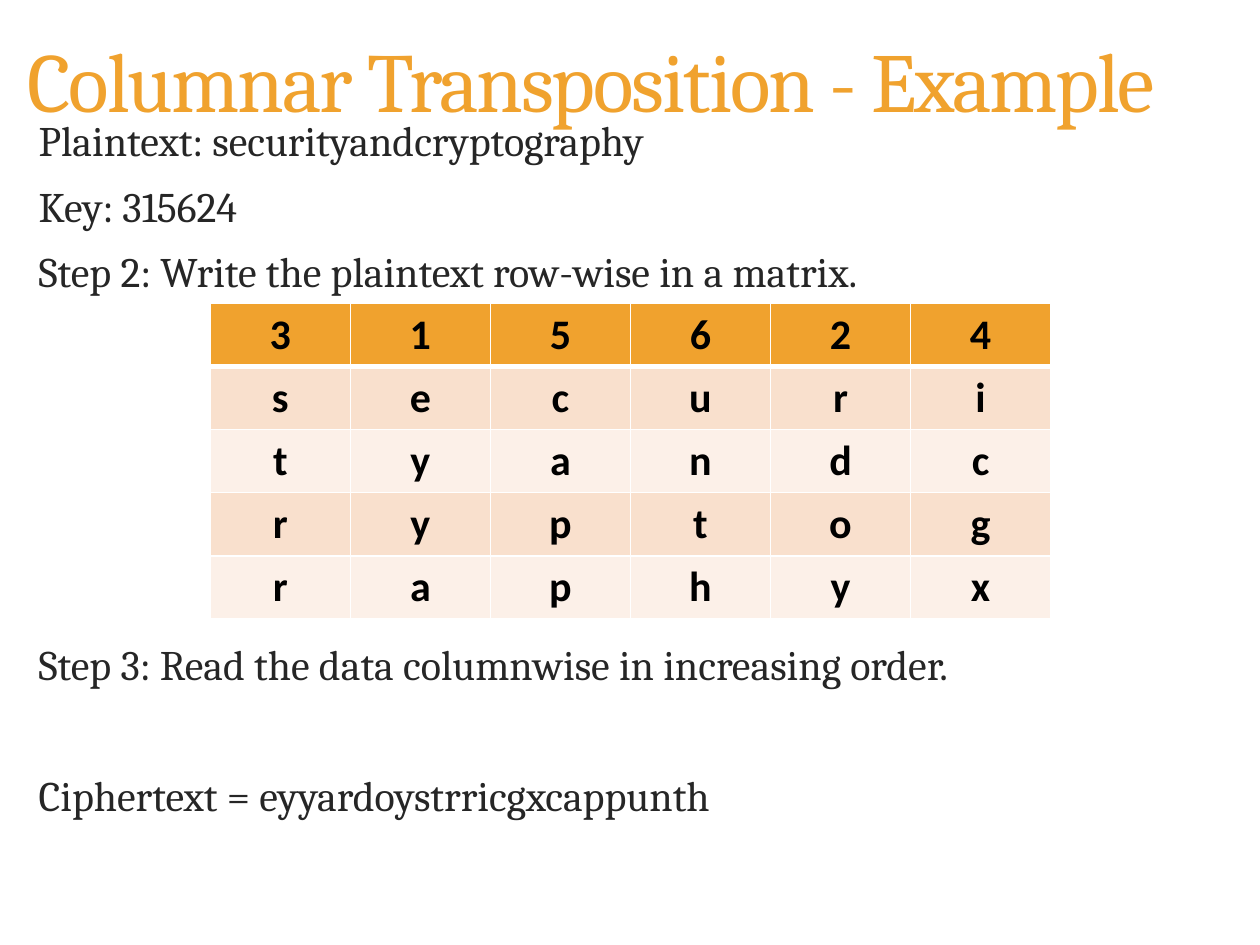
from pptx import Presentation
from pptx.dml.color import RGBColor
from pptx.enum.text import MSO_ANCHOR, PP_ALIGN
from pptx.oxml.ns import qn
from pptx.util import Cm, Pt
from lxml import etree

LEFT, CENTER = PP_ALIGN.LEFT, PP_ALIGN.CENTER
TOP, MIDDLE = MSO_ANCHOR.TOP, MSO_ANCHOR.MIDDLE

ORANGE, INK, BLACK, WHITE = "F0A22E", "262626", "000000", "FFFFFF"
BANDS = ("F9E0CD", "FCF0E8")
PARAGRAPH_GAP = 13
LINE_PITCH = 37.4  # one body line with its gap, in points

# Each line with the number of open lines above it
STEPS = [
    ("Plaintext: securityandcryptography", 0),
    ("Key: 315624", 0),
    ("Step 2: Write the plaintext row-wise in a matrix.", 0),
    ("Step 3: Read the data columnwise in increasing order.", 5),
    ("Ciphertext = eyyardoystrricgxcappunth", 1),
]
MATRIX = ["315624", "securi", "tyandc", "ryptog", "raphyx"]


def color(hex_value):
    return RGBColor.from_string(hex_value)


def write(para, text, font="Cambria", size=24, fill=INK, bold=False,
          align=LEFT, line=1.0, before=0, tracking=None):
    para.alignment = align
    para.line_spacing = line
    para.space_before = Pt(before)
    span = para.add_run()
    span.text = text
    span.font.name = font
    span.font.size = Pt(size)
    span.font.bold = bold
    span.font.color.rgb = color(fill)
    if tracking is not None:
        span.font._element.set("spc", str(round(tracking * 100)))


def set_border(cell, side, width):
    line = etree.SubElement(cell._tc.get_or_add_tcPr(), qn(f"a:ln{side}"),
                            w=str(Pt(width)))
    fill = etree.SubElement(line, qn("a:solidFill"))
    etree.SubElement(fill, qn("a:srgbClr"), val=WHITE)


def place_title(page, left, top, width, height):
    title = page.shapes.title
    title.left, title.top, title.width, title.height = left, top, width, height
    title.text_frame.vertical_anchor = MIDDLE
    write(title.text_frame.paragraphs[0], "Columnar Transposition - Example",
          size=48, fill=ORANGE, line=0.9, tracking=-1.2)


def add_steps(page, left, top, width, height):
    frame = page.shapes.add_textbox(left, top, width, height).text_frame
    frame.word_wrap = True
    frame.vertical_anchor = TOP
    for index, (text, open_lines) in enumerate(STEPS):
        para = frame.add_paragraph() if index else frame.paragraphs[0]
        before = PARAGRAPH_GAP + open_lines * LINE_PITCH if index else 0
        write(para, text, line=0.85, before=before)


def add_matrix(page, left, top, width, height):
    table = page.shapes.add_table(len(MATRIX), len(MATRIX[0]),
                                  left, top, width, height).table
    for row, letters in enumerate(MATRIX):
        for column, letter in enumerate(letters):
            cell = table.cell(row, column)
            # A thick rule parts the key from the letters
            widths = {"L": 1, "R": 1, "T": 3 if row == 1 else 1,
                      "B": 3 if row == 0 else 1}
            for side, border_width in widths.items():
                set_border(cell, side, border_width)
            cell.fill.solid()
            cell.fill.fore_color.rgb = color(BANDS[(row - 1) % 2] if row else ORANGE)
            write(cell.text_frame.paragraphs[0], letter, font="Calibri",
                  fill=BLACK, bold=True, align=CENTER)


def main():
    deck = Presentation()
    deck.slide_width, deck.slide_height = Cm(25.4), Cm(19.05)
    page = deck.slides.add_slide(deck.slide_layouts[5])
    place_title(page, Cm(0.3), Cm(-0.08), Cm(24.33), Cm(3.61))
    add_steps(page, Cm(0.53), Cm(2.34), Cm(24.33), Cm(15.24))
    add_matrix(page, Cm(4.24), Cm(6.12), Cm(16.94), Cm(6.35))
    deck.save("out.pptx")


if __name__ == "__main__":
    main()
